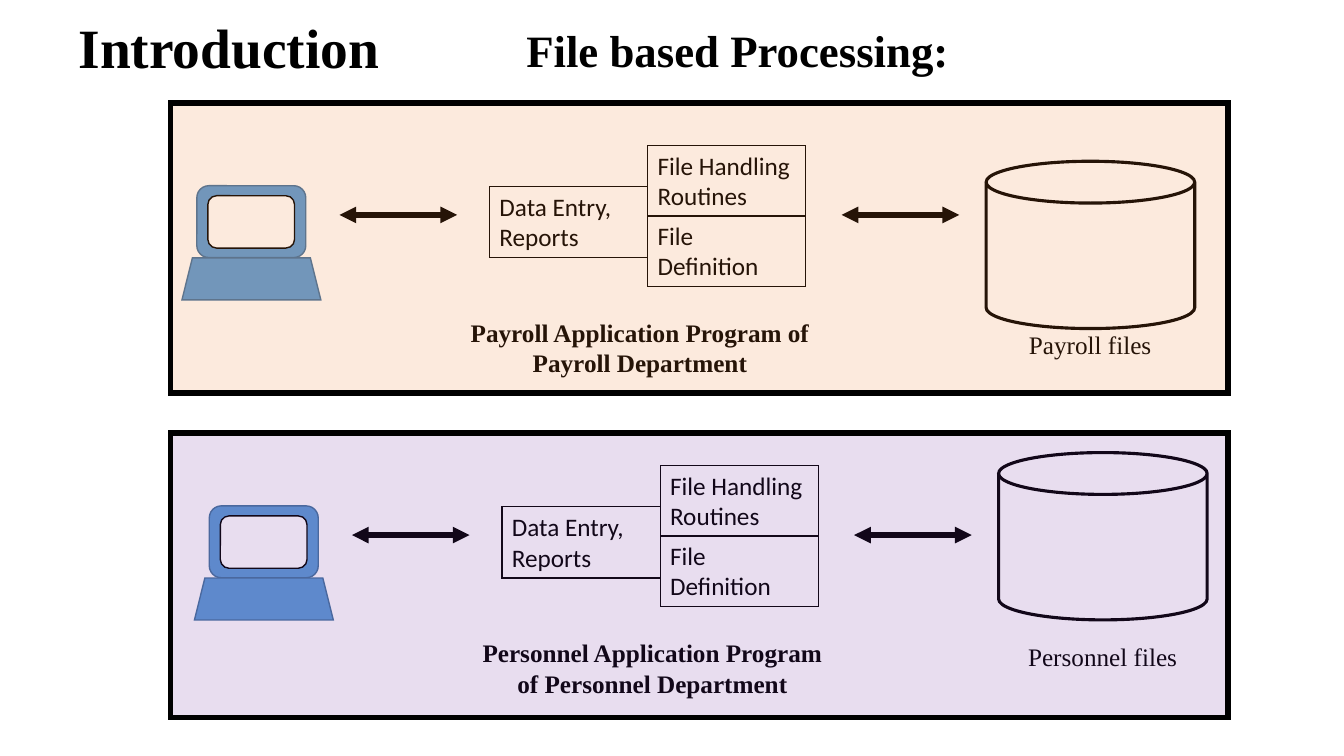
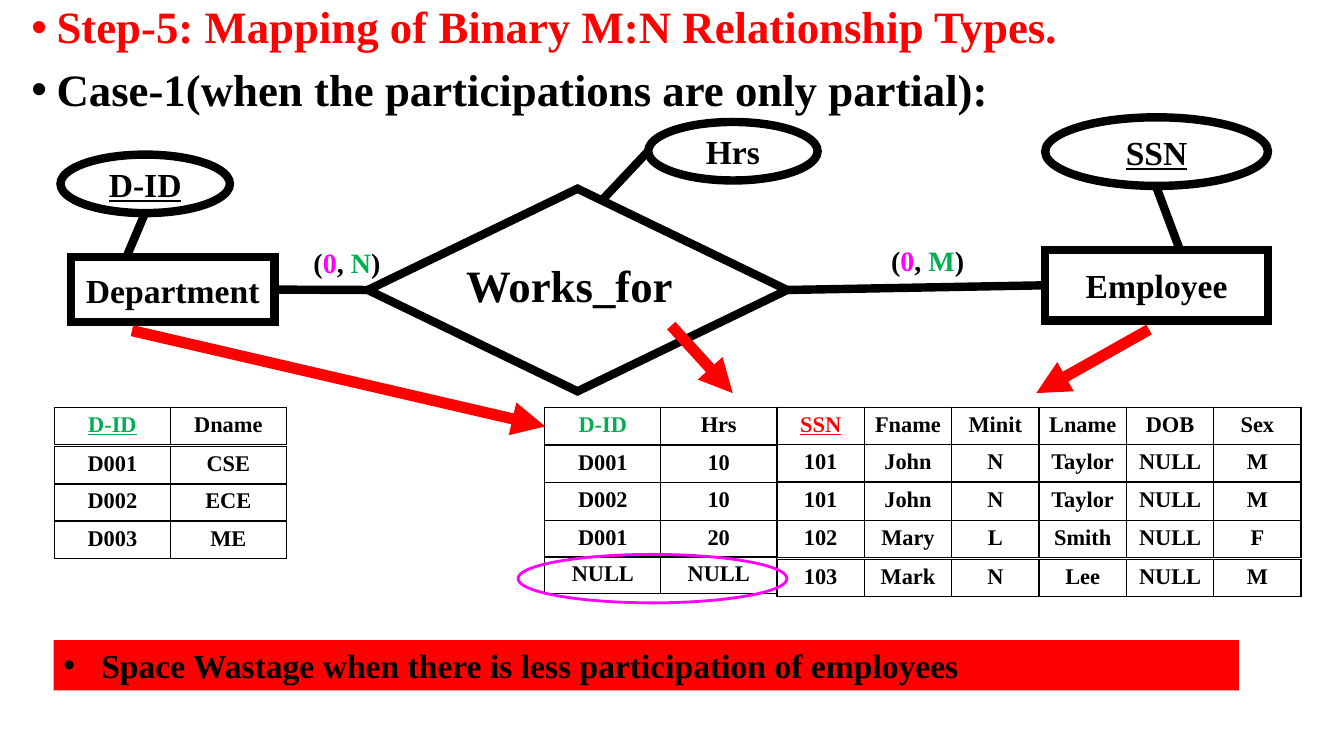
from dataclasses import dataclass
from typing import NamedTuple, Optional, Sequence, Union

from lxml import etree
from pptx import Presentation
from pptx import slide as s
from pptx import util as u
from pptx.dml.color import RGBColor
from pptx.enum import shapes, text
from pptx.oxml import ns
from pptx.shapes import autoshape, connector
from pptx.text import text as t

BLACK = RGBColor(0x00, 0x00, 0x00)
WHITE = RGBColor(0xFF, 0xFF, 0xFF)
RED = RGBColor(0xFF, 0x00, 0x00)
GREEN = RGBColor(0x00, 0xB0, 0x50)
MAGENTA = RGBColor(0xFF, 0x00, 0xFF)
BLUE = RGBColor(0x5B, 0x9B, 0xD5)
DARK_BLUE = RGBColor(0x43, 0x73, 0x9E)
ORANGE = RGBColor(0xED, 0x7D, 0x31)
PURPLE = RGBColor(0x70, 0x30, 0xA0)
SERIF = "Times New Roman"
SANS = "Calibri"
KIND = shapes.MSO_SHAPE
CENTER = text.PP_ALIGN.CENTER
LEFT = text.PP_ALIGN.LEFT
TOP = text.MSO_ANCHOR.TOP
MIDDLE = text.MSO_ANCHOR.MIDDLE
ROW_HEIGHT = 26.7


class Area(NamedTuple):
    left: float
    top: float
    width: float
    height: float

    def moved(self, right: float, down: float) -> "Area":
        return Area(self.left + right, self.top + down, self.width, self.height)


class Point(NamedTuple):
    x: float
    y: float


class Span(NamedTuple):
    words: str
    color: RGBColor


Line = Union[str, Sequence[Span]]


@dataclass(frozen=True)
class Department:
    caption: str
    files: str
    right: float
    down: float
    can_top: float
    files_top: float
    panel: Area
    tint: RGBColor


@dataclass(frozen=True)
class Node:
    label: str
    kind: shapes.MSO_SHAPE
    area: Area
    underline: bool = False


@dataclass(frozen=True)
class Relation:
    left: float
    column: float
    key_color: RGBColor
    key_underline: bool
    tops: Sequence[float]
    rows: Sequence[Sequence[str]]


DEPARTMENTS = (
    Department("Payroll Application Program of Payroll Department", "Payroll files",
               0, 0, 115.2, 231.5, Area(121.7, 73.4, 755.3, 207.4), ORANGE),
    Department("Personnel Application Program of Personnel Department", "Personnel files",
               8.9, 228.7, 323.3, 454.3, Area(121.7, 309.4, 755.3, 203), PURPLE),
)

PROGRAM_PARTS = (
    (("Data Entry,", "Reports"), Point(349.7, 133.3)),
    (("File Handling Routines",), Point(462.7, 103.9)),
    (("File Definition",), Point(462.7, 153.9)),
)

NODES = (
    Node("Department", KIND.RECTANGLE, Area(50.6, 183.6, 145.6, 46.6)),
    Node("Employee", KIND.RECTANGLE, Area(746.6, 178.6, 159.1, 50.4)),
    Node("D-ID", KIND.OVAL, Area(43.2, 110.4, 121, 41.8), True),
    Node("SSN", KIND.OVAL, Area(746.6, 83.8, 159.1, 49), True),
    Node("Hrs", KIND.OVAL, Area(463, 87.1, 121, 41.8)),
)

ATTRIBUTE_LINKS = (
    (Point(90, 184.3), Point(103.7, 152)),
    (Point(843.1, 179.3), Point(825.8, 133.2)),
    (Point(429.1, 144), Point(463, 108)),
)

MAPPING_ARROWS = (
    (Point(479.5, 232.6), Point(523.4, 280.8)),
    (Point(94.3, 236.2), Point(389.5, 304.6)),
    (Point(820.8, 235.4), Point(740.2, 280.8)),
)

RELATIONS = (
    Relation(38.9, 82.8, GREEN, True, (290.9, 319, 345.6, 372.2), (
        ("D-ID", "Dname"), ("D001", "CSE"), ("D002", "ECE"), ("D003", "ME"))),
    Relation(389.2, 82.8, GREEN, False, (290.9, 318.2, 344.9, 371.5, 397.4), (
        ("D-ID", "Hrs"), ("D001", "10"), ("D002", "10"), ("D001", "20"), ("NULL", "NULL"))),
    Relation(555, 62.4, RED, True, (290.9, 317.5, 344.9, 371.5, 399.6), (
        ("SSN", "Fname", "Minit", "Lname", "DOB", "Sex"),
        ("101", "John", "N", "Taylor", "NULL", "M"),
        ("101", "John", "N", "Taylor", "NULL", "M"),
        ("102", "Mary", "L", "Smith", "NULL", "F"),
        ("103", "Mark", "N", "Lee", "NULL", "M"))),
)


def points(values: Sequence[float]) -> list[u.Length]:
    return [u.Pt(value) for value in values]


def write(frame: t.TextFrame, *lines: Line, size: float, font: str = SERIF,
          color: RGBColor = BLACK, bold: bool = True, underline: bool = False,
          align: text.PP_ALIGN = LEFT, anchor: text.MSO_ANCHOR = TOP,
          spacing: float = 1, gap: float = 0, bullet: float = 0) -> None:
    frame.word_wrap = True
    frame.vertical_anchor = anchor
    for index, line in enumerate(lines):
        para = frame.add_paragraph() if index else frame.paragraphs[0]
        if bullet:
            add_bullet(para, bullet)
        para.alignment = align
        para.line_spacing = spacing
        if index and gap:
            para.space_before = u.Pt(gap)
        for words, tone in ([Span(line, color)] if isinstance(line, str) else line):
            span = para.add_run()
            span.text = words
            span.font.name = font
            span.font.size = u.Pt(size)
            span.font.bold = bold
            span.font.underline = underline
            span.font.color.rgb = tone


def add_bullet(para: t._Paragraph, indent: float) -> None:
    properties = para._p.get_or_add_pPr()
    properties.set("marL", str(u.Pt(indent)))
    properties.set("indent", str(-u.Pt(indent)))
    etree.SubElement(properties, ns.qn("a:buFont"), typeface="Arial")
    etree.SubElement(properties, ns.qn("a:buChar"), char="•")


def add_box(page: s.Slide, area: Area) -> t.TextFrame:
    return page.shapes.add_textbox(*points(area)).text_frame


def add_figure(page: s.Slide, kind: shapes.MSO_SHAPE, area: Area, *,
               fill: Optional[RGBColor] = None, opacity: float = 1,
               line: Optional[RGBColor] = BLACK, weight: float = 1) -> autoshape.Shape:
    figure = page.shapes.add_shape(kind, *points(area))
    figure.shadow.inherit = False
    if fill is None:
        figure.fill.background()
    else:
        figure.fill.solid()
        figure.fill.fore_color.rgb = fill
        if opacity < 1:
            tone = figure.element.spPr.find(".//" + ns.qn("a:srgbClr"))
            etree.SubElement(tone, ns.qn("a:alpha"), val=str(round(opacity * 100000)))
    if line is None:
        figure.line.fill.background()
    else:
        figure.line.color.rgb = line
        figure.line.width = u.Pt(weight)
        outline = figure.element.spPr.find(ns.qn("a:ln"))
        etree.SubElement(outline, ns.qn("a:miter"), lim="800000")
    return figure


def add_link(page: s.Slide, start: Point, end: Point, *, color: RGBColor = BLACK,
             weight: float = 6, heads: Sequence[str] = ()) -> connector.Connector:
    link = page.shapes.add_connector(shapes.MSO_CONNECTOR.STRAIGHT, *points((*start, *end)))
    link.line.color.rgb = color
    link.line.width = u.Pt(weight)
    properties = link.element.spPr
    for head in heads:
        etree.SubElement(properties.find(ns.qn("a:ln")), ns.qn(f"a:{head}"), type="triangle")
    etree.SubElement(properties, ns.qn("a:effectLst"))
    return link


def join(page: s.Slide, first: autoshape.Shape, second: autoshape.Shape) -> None:
    link = add_link(page, Point(0, 0), Point(0, 0))
    link.begin_connect(first, 3)
    link.end_connect(second, 1)


def add_relation(page: s.Slide, relation: Relation) -> None:
    for row, (top, values) in enumerate(zip(relation.tops, relation.rows)):
        area = Area(relation.left, top, len(values) * relation.column, ROW_HEIGHT)
        table = page.shapes.add_table(1, len(values), *points(area)).table
        table.first_row = table.horz_banding = False
        for column, value in enumerate(values):
            cell = table.cell(0, column)
            properties = cell._tc.get_or_add_tcPr()
            for side in ("lnL", "lnR", "lnT", "lnB"):
                border = etree.SubElement(properties, ns.qn(f"a:{side}"), w=str(u.Pt(1)))
                fill = etree.SubElement(border, ns.qn("a:solidFill"))
                etree.SubElement(fill, ns.qn("a:srgbClr"), val=str(BLACK))
            cell.fill.background()
            cell.margin_left = cell.margin_right = u.Pt(3.6)
            key = row == column == 0
            write(cell.text_frame, value, size=16, align=CENTER,
                  color=relation.key_color if key else BLACK,
                  underline=key and relation.key_underline)


def add_department(page: s.Slide, department: Department) -> None:
    right, down = department.right, department.down
    for kind, area, fill, line in (
            (KIND.ROUNDED_RECTANGLE, Area(140.6, 132.7, 77.8, 51.3), BLUE, DARK_BLUE),
            (KIND.TRAPEZOID, Area(130, 184.2, 99.2, 30), BLUE, DARK_BLUE),
            (KIND.ROUNDED_RECTANGLE, Area(148.5, 139.8, 61.9, 37.4), WHITE, BLACK)):
        add_figure(page, kind, area.moved(right, down), fill=fill, line=line)
    for lines, corner in PROGRAM_PARTS:
        part = add_figure(page, KIND.RECTANGLE, Area(*corner, 113, 50.9).moved(right, down),
                          weight=0.75)
        write(part.text_frame, *lines, size=18, font=SANS, bold=False)
    add_figure(page, KIND.CAN, Area(704.4 + right, department.can_top, 149, 119.5), weight=2.25)
    for left in (242.5, 601.2):
        start = Point(left + right, 153.5 + down)
        add_link(page, start, Point(start.x + 84, start.y), weight=4,
                 heads=("headEnd", "tailEnd"))
    write(add_box(page, Area(326.4, 223.2, 261.4, 51).moved(right, down)),
          department.caption, size=18, align=CENTER)
    write(add_box(page, Area(648 + right, department.files_top, 261.4, 28.8)),
          department.files, size=18, bold=False, align=CENTER)


def build_file_processing(page: s.Slide) -> None:
    write(add_box(page, Area(49, 10, 260, 52)), "Introduction", size=39.6,
          anchor=MIDDLE, spacing=0.9)
    write(add_box(page, Area(368.9, 17.3, 335.5, 49)), "File based Processing:",
          size=32, spacing=0.9)
    for department in DEPARTMENTS:
        add_department(page, department)
    for department in DEPARTMENTS:
        add_figure(page, KIND.RECTANGLE, department.panel, fill=department.tint,
                   opacity=0.16, weight=4)


def build_mapping(page: s.Slide) -> None:
    write(add_box(page, Area(15.3, 0, 914.4, 525)),
          (Span("Step-5: Mapping of Binary M:N Relationship Types.", RED),),
          (Span("Case-1(when the participations are only partial):", BLACK),),
          size=32, spacing=0.9, gap=10, bullet=18)
    for start, end in ATTRIBUTE_LINKS:
        add_link(page, start, end)
    figures = {}
    for node in NODES:
        figure = add_figure(page, node.kind, node.area, fill=WHITE, weight=6)
        write(figure.text_frame, node.label, size=24, underline=node.underline,
              align=CENTER, anchor=MIDDLE)
        figures[node.label] = figure
    diamond = add_figure(page, KIND.DIAMOND, Area(262.8, 134.8, 299.5, 144.7), weight=6)
    write(add_box(page, Area(312.5, 180.7, 188.6, 46)), "Works_for", size=32, align=CENTER)
    join(page, figures["Department"], diamond)
    join(page, diamond, figures["Employee"])
    for left, top, limit in ((214, 169.5, "N"), (628.8, 168.3, "M")):
        write(add_box(page, Area(left, top, 67.7, 35.3)),
              (Span("(", BLACK), Span("0", MAGENTA), Span(", ", BLACK),
               Span(limit, GREEN), Span(")", BLACK)),
              size=20, align=CENTER, anchor=MIDDLE)
    for relation in RELATIONS:
        add_relation(page, relation)
    for start, end in MAPPING_ARROWS:
        add_link(page, start, end, color=RED, weight=8, heads=("tailEnd",))
    bar = add_figure(page, KIND.RECTANGLE, Area(38.3, 457.2, 846.7, 36), fill=RED, line=None)
    write(bar.text_frame, "Space Wastage when there is less participation of employees",
          size=24, bullet=27)
    add_figure(page, KIND.OVAL, Area(370, 396, 192.2, 34.6), line=MAGENTA, weight=2)


def main() -> None:
    deck = Presentation()
    deck.slide_width, deck.slide_height = u.Pt(960), u.Pt(540)
    for build in (build_file_processing, build_mapping):
        build(deck.slides.add_slide(deck.slide_layouts[6]))
    deck.save("out.pptx")


if __name__ == "__main__":
    main()
